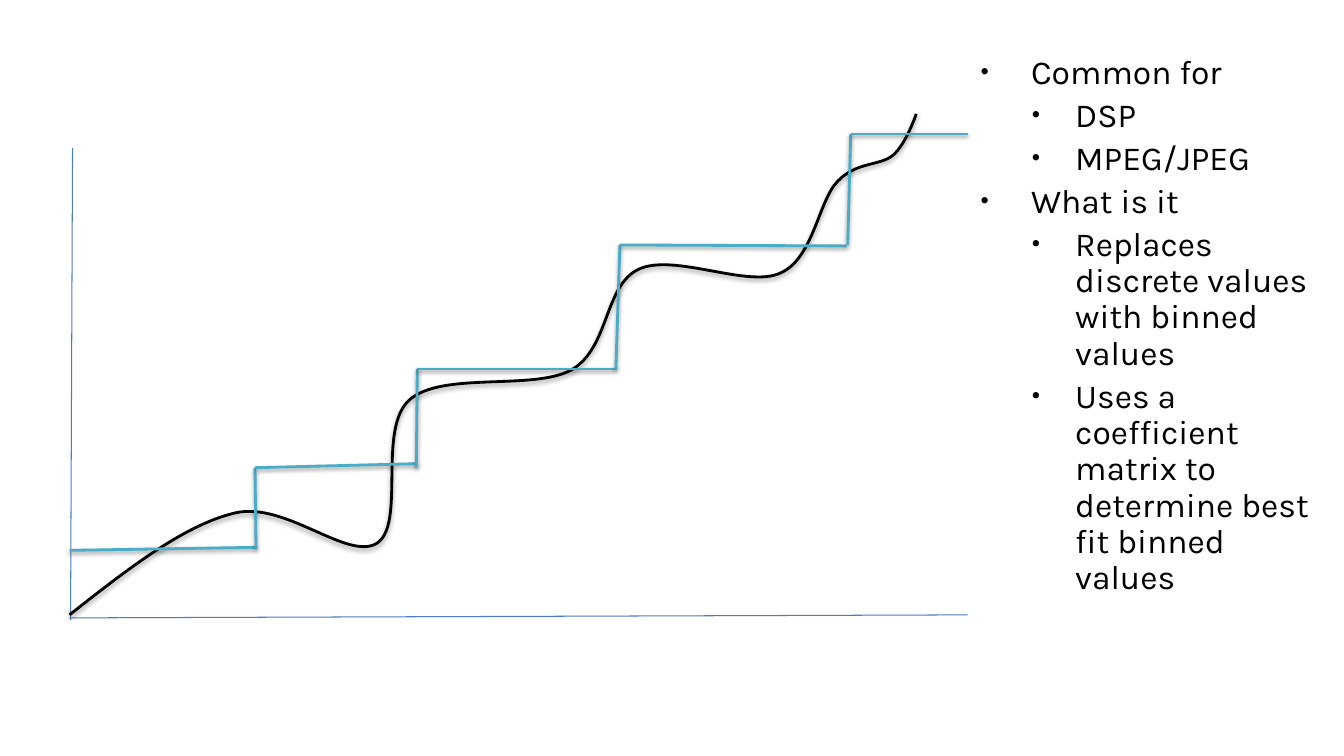
from dataclasses import dataclass

from lxml.etree import SubElement
from pptx import Presentation
from pptx.dml.color import RGBColor as Rgb
from pptx.enum.shapes import MSO_CONNECTOR as Connector
from pptx.enum.text import MSO_AUTO_SIZE as AutoSize
from pptx.oxml.ns import qn
from pptx.util import Pt


@dataclass(frozen=True)
class Theme:
    font: str = "Karla"
    text_size: float = 24
    ink: str = "000000"
    axis: str = "4B7EBC"
    step: str = "4BACC6"
    axis_width: float = 0.75
    signal_width: float = 2


AXES = [
    ((51.84, 105.84), (50.4, 442.8)),
    ((49.68, 441.36), (691.2, 439.2)),
]
SIGNAL_START = (49.68, 439.2)
# Each span: first control point, second control point, end point.
SIGNAL_SPANS = [
    ((90, 407.52), (131.04, 375.12), (167.76, 366.48)),
    ((203.76, 357.84), (248.4, 401.04), (269.28, 388.08)),
    ((290.16, 374.4), (269.28, 306.72), (292.32, 285.84)),
    ((315.36, 264.96), (380.88, 279.36), (408.24, 264.24)),
    ((435.6, 248.4), (431.28, 203.76), (456.48, 192.24)),
    ((481.68, 180.72), (534.24, 205.92), (557.28, 195.12)),
    ((581.04, 185.04), (584.64, 143.28), (598.32, 129.6)),
    ((612, 115.2), (628.56, 118.8), (637.92, 110.88)),
    ((647.28, 102.96), (654.48, 81.36), (654.48, 81.36)),
]
QUANTIZED_STEPS = [
    ((49.68, 393.12), (183.6, 390.96)),
    ((182.88, 391.68), (182.16, 334.08)),
    ((182.16, 334.08), (298.08, 331.2)),
    ((297.36, 334.08), (298.08, 263.52)),
    ((298.08, 263.52), (440.64, 263.52)),
    ((439.92, 263.52), (442.8, 174.96)),
    ((442.8, 174.96), (604.8, 175.68)),
    ((605.52, 174.96), (607.68, 95.76)),
    ((607.68, 95.76), (691.2, 95.76)),
]
OUTLINE = [
    ("Common for", 0),
    ("DSP", 1),
    ("MPEG/JPEG", 1),
    ("What is it", 0),
    ("Replaces discrete values with binned values", 1),
    ("Uses a coefficient matrix to determine best fit binned values", 1),
]
BULLET_INDENTS = [(36, -36), (67.5, -31)]


def bend_segments(shape):
    """Turn each three straight segments into one cubic Bézier span."""
    segments = list(shape._element.iter(qn("a:lnTo")))
    for first, second, last in zip(*[iter(segments)] * 3):
        outline = first.getparent()
        span = SubElement(outline, qn("a:cubicBezTo"))
        for segment in (first, second, last):
            span.append(segment[0])
            outline.remove(segment)


def write_text(paragraph, text, *, font, size, color):
    run = paragraph.add_run()
    run.text = text
    run.font.name = font
    run.font.size = Pt(size)
    run.font.color.rgb = Rgb.from_string(color)


def add_bullet(paragraph, left, hanging):
    properties = paragraph._p.get_or_add_pPr()
    properties.set("marL", str(Pt(left)))
    properties.set("indent", str(Pt(hanging)))
    SubElement(properties, qn("a:buSzPct"), val="70000")
    SubElement(properties, qn("a:buFont"), typeface="Arial")
    SubElement(properties, qn("a:buChar"), char="•")


def set_effects(shape, shadow):
    """Give the shape a soft shadow below it, or no effect at all."""
    effects = SubElement(shape._element.spPr, qn("a:effectLst"))
    if shadow:
        outer = SubElement(
            effects, qn("a:outerShdw"), blurRad=str(Pt(3.1)),
            dist=str(Pt(1.6)), dir="5400000", rotWithShape="0",
        )
        black = SubElement(outer, qn("a:srgbClr"), val="000000")
        SubElement(black, qn("a:alpha"), val="38000")


class SlideBuilder:
    def __init__(self, slide, theme):
        self.shapes = slide.shapes
        self.theme = theme

    def stroke(self, shape, color, width, shadow):
        shape.line.color.rgb = Rgb.from_string(color)
        shape.line.width = Pt(width)
        set_effects(shape, shadow)

    def line(self, start, end, color, width, shadow=False):
        ends = [Pt(length) for length in (*start, *end)]
        connector = self.shapes.add_connector(Connector.STRAIGHT, *ends)
        self.stroke(connector, color, width, shadow)

    def curve(self, start, spans, color, width):
        builder = self.shapes.build_freeform(Pt(start[0]), Pt(start[1]))
        points = [(Pt(x), Pt(y)) for span in spans for x, y in span]
        builder.add_line_segments(points, close=False)
        curve = builder.convert_to_shape()
        bend_segments(curve)
        curve.fill.background()
        self.stroke(curve, color, width, shadow=True)

    def bullets(self, entries, left, top, width, height):
        box = self.shapes.add_textbox(Pt(left), Pt(top), Pt(width), Pt(height))
        frame = box.text_frame
        frame.word_wrap = True
        frame.auto_size = AutoSize.SHAPE_TO_FIT_TEXT
        frame.margin_left = frame.margin_right = 0
        frame.margin_top = frame.margin_bottom = 0
        theme = self.theme
        for number, (text, level) in enumerate(entries):
            paragraph = frame.add_paragraph() if number else frame.paragraphs[0]
            paragraph.level = level
            paragraph.line_spacing = 0.9
            paragraph.space_before = Pt(0.2 * theme.text_size)
            add_bullet(paragraph, *BULLET_INDENTS[level])
            write_text(paragraph, text, font=theme.font,
                       size=theme.text_size, color=theme.ink)


def main():
    presentation = Presentation()
    presentation.slide_width, presentation.slide_height = Pt(960), Pt(540)
    theme = Theme()
    blank = presentation.slide_layouts[6]
    builder = SlideBuilder(presentation.slides.add_slide(blank), theme)

    for start, end in AXES:
        builder.line(start, end, theme.axis, theme.axis_width)
    builder.curve(SIGNAL_START, SIGNAL_SPANS, theme.ink, theme.signal_width)
    for start, end in QUANTIZED_STEPS:
        builder.line(start, end, theme.step, theme.signal_width, shadow=True)
    builder.bullets(OUTLINE, left=700.56, top=39.6, width=249.12, height=380.88)

    presentation.save("out.pptx")


if __name__ == "__main__":
    main()
